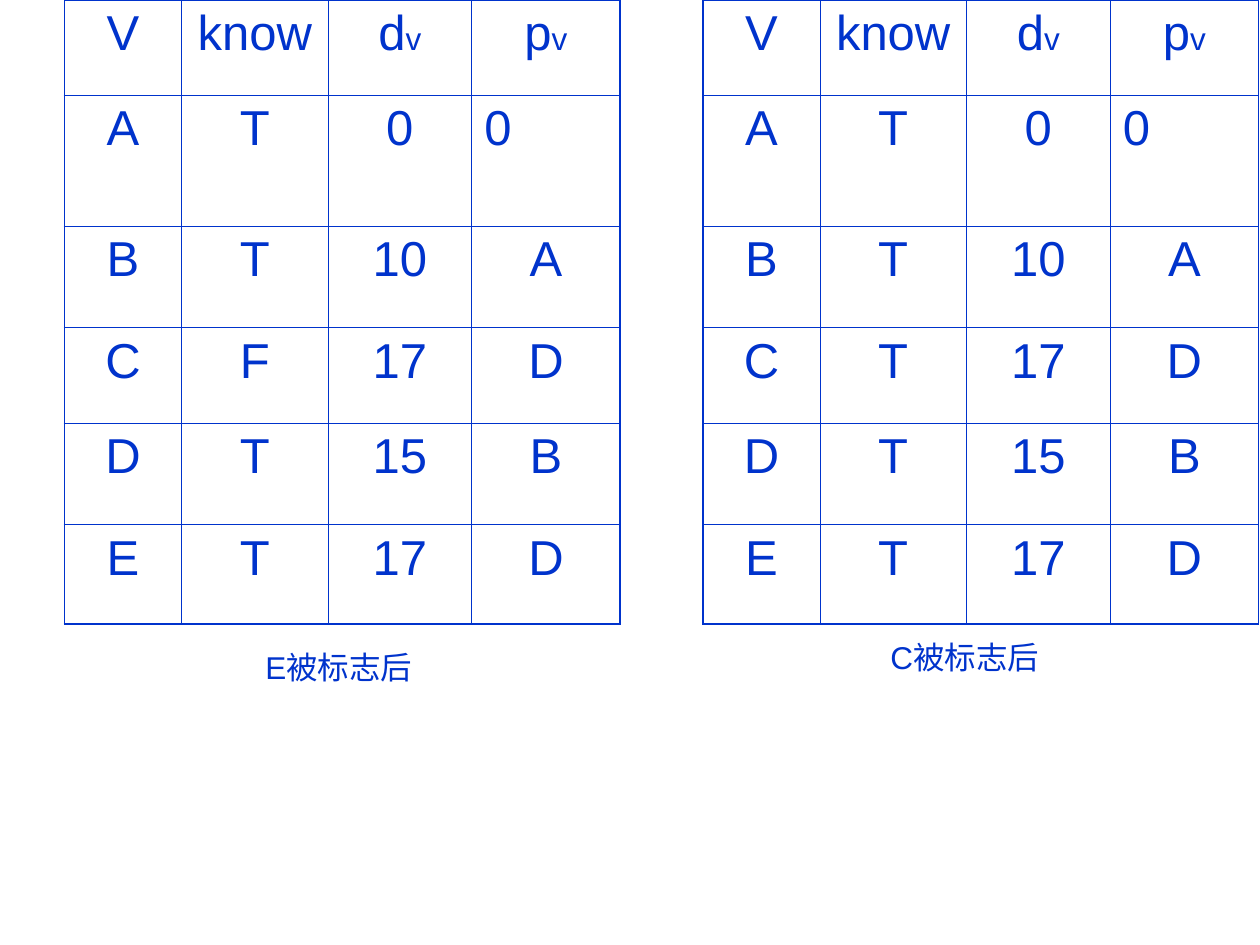
from lxml.etree import SubElement
from pptx import Presentation
from pptx.dml.color import RGBColor
from pptx.enum.text import MSO_AUTO_SIZE, PP_ALIGN
from pptx.oxml.ns import qn
from pptx.util import Cm, Pt

BLUE = "0033CC"
THIN, THICK = Pt(0.45), Pt(1.08)


def add_run(paragraph, text, size):
    run = paragraph.add_run()
    run.text = text
    run.font.name = "Arial"
    run.font.size = Pt(size)
    run.font.color.rgb = RGBColor.from_string(BLUE)


def add_border(cell, side, width):
    line = SubElement(cell._tc.get_or_add_tcPr(), qn(f"a:ln{side}"), w=str(width))
    fill = SubElement(line, qn("a:solidFill"))
    SubElement(fill, qn("a:srgbClr"), val=BLUE)


prs = Presentation()
prs.slide_width, prs.slide_height = Cm(25.4), Cm(19.05)
slide = prs.slides.add_slide(prs.slide_layouts[6])

column_widths = [2.36, 2.95, 2.9, 2.99]
row_heights = [1.92, 2.64, 2.05, 1.92, 2.05, 2]
last_row, last_column = len(row_heights) - 1, len(column_widths) - 1

steps = [
    (1.3, "F", "E被标志后", 5.1, 12.93, 5.79),
    (14.17, "T", "C被标志后", 17.7, 12.73, 3.99),
]

for table_left, c_known, caption, caption_left, caption_top, caption_width in steps:
    distances = [
        [("V", ""), ("know", ""), ("d", "v"), ("p", "v")],
        [("A", ""), ("T", ""), ("0", ""), ("0", "")],
        [("B", ""), ("T", ""), ("10", ""), ("A", "")],
        [("C", ""), (c_known, ""), ("17", ""), ("D", "")],
        [("D", ""), ("T", ""), ("15", ""), ("B", "")],
        [("E", ""), ("T", ""), ("17", ""), ("D", "")],
    ]
    table = slide.shapes.add_table(
        len(row_heights), len(column_widths), Cm(table_left), Cm(0),
        Cm(sum(column_widths)), Cm(sum(row_heights)),
    ).table
    table.first_row = False
    table.horz_banding = False
    for column, width in zip(table.columns, column_widths):
        column.width = Cm(width)
    for row, height in zip(table.rows, row_heights):
        row.height = Cm(height)

    for r, entries in enumerate(distances):
        for c, (symbol, index) in enumerate(entries):
            cell = table.cell(r, c)
            add_border(cell, "L", THICK if c == 0 else THIN)
            add_border(cell, "R", THICK if c == last_column else THIN)
            add_border(cell, "T", THICK if r == 0 else THIN)
            add_border(cell, "B", THICK if r == last_row else THIN)
            cell.fill.background()
            paragraph = cell.text_frame.paragraphs[0]
            paragraph.alignment = PP_ALIGN.CENTER
            add_run(paragraph, symbol, 28)
            if index:
                add_run(paragraph, index, 18)
    table.cell(1, last_column).text_frame.paragraphs[0].alignment = PP_ALIGN.LEFT

    caption_frame = slide.shapes.add_textbox(
        Cm(caption_left), Cm(caption_top), Cm(caption_width), Cm(1.02)
    ).text_frame
    caption_frame.word_wrap = True
    caption_frame.auto_size = MSO_AUTO_SIZE.SHAPE_TO_FIT_TEXT
    add_run(caption_frame.paragraphs[0], caption, 18)

prs.save("out.pptx")
